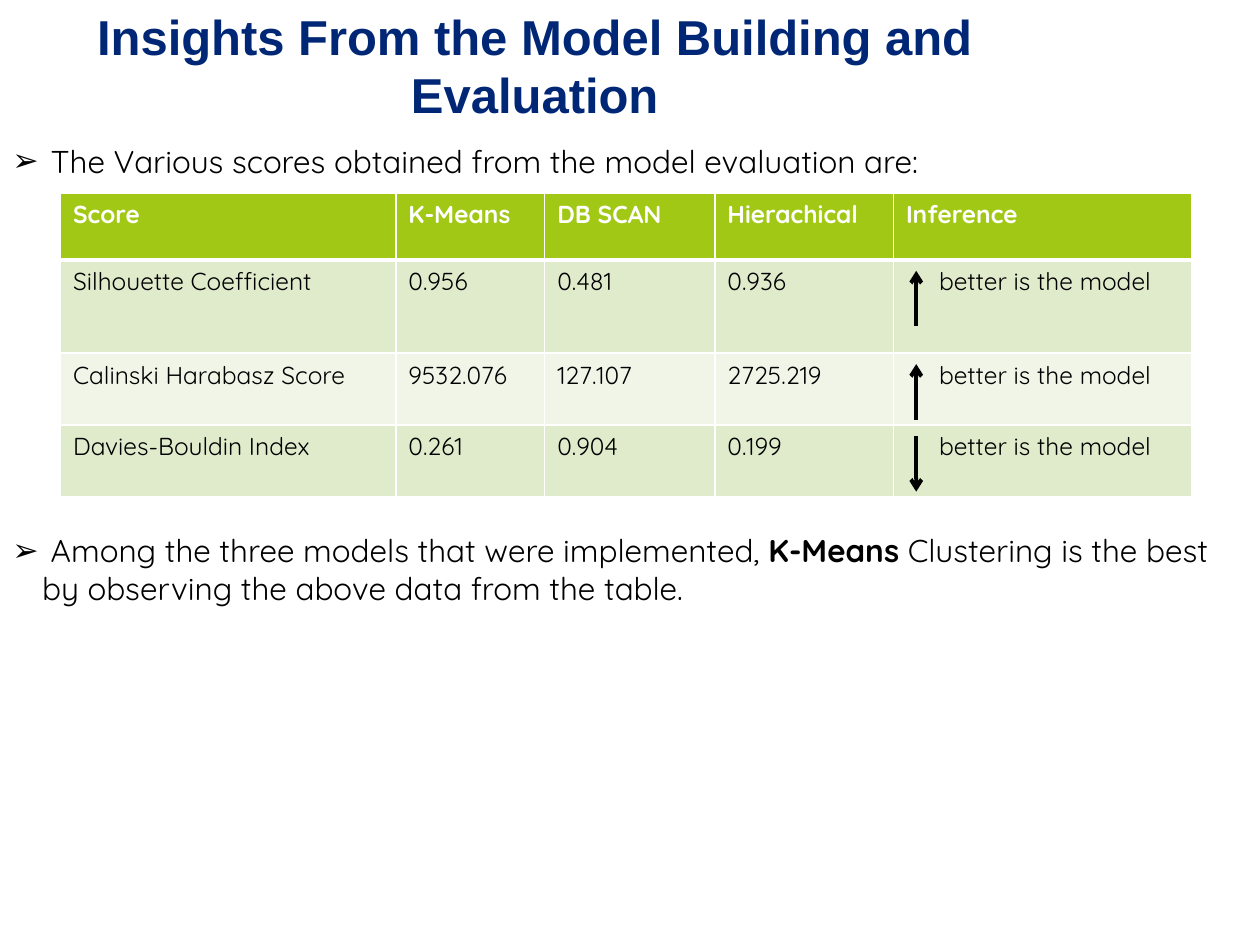
from itertools import accumulate
from lxml.etree import SubElement as Sub
from pptx import Presentation
from pptx.dml.color import RGBColor as RGB
from pptx.enum.shapes import MSO_CONNECTOR as Link
from pptx.enum.text import MSO_AUTO_SIZE as Auto, PP_ALIGN as Align
from pptx.oxml.ns import qn
from pptx.util import Cm, Pt

NAVY, BLACK, WHITE, LIME = "002776", "000000", "FFFFFF", "A2C816"
BANDS = ["E0EBCC", "F0F5E8"]
COLS = [6.76, 3.0, 3.43, 3.6, 6.02]
ROWS = [1.35, 1.88, 1.45, 1.45]
BETTER = "better is the model"
SCORES = [
    ["Score", "K-Means", "DB SCAN", "Hierachical", "Inference"],
    ["Silhouette Coefficient", "0.956", "0.481", "0.936", BETTER],
    ["Calinski Harabasz Score", "9532.076", "127.107", "2725.219", BETTER],
    ["Davies-Bouldin Index", "0.261", "0.904", "0.199", BETTER],
]


def tint(code):
    return RGB.from_string(code)


class Deck:
    """Holds the style and the current slide, and draws each kind of element."""

    def __init__(self, body="Quicksand", head="Arial"):
        self.body, self.head = body, head
        self.prs = Presentation()
        self.prs.slide_width, self.prs.slide_height = Cm(25.4), Cm(19.05)
        self.slide = self.prs.slides.add_slide(self.prs.slide_layouts[6])

    def style(self, para, face, size, color, bold=None):
        font = para.font
        font.name, font.size, font.bold = face, Pt(size), bold
        font.color.rgb = tint(color)

    def box(self, top, width, height):
        frame = self.slide.shapes.add_textbox(0, Cm(top), Cm(width), Cm(height)).text_frame
        frame.word_wrap = True
        frame.auto_size = Auto.SHAPE_TO_FIT_TEXT
        return frame.paragraphs[0]

    def title(self, text, width, height):
        para = self.box(0, width, height)
        para.text, para.alignment = text, Align.CENTER
        self.style(para, self.head, 28, NAVY, True)

    def bullet(self, top, height, *parts):
        para = self.box(top, 25.4, height)
        props = para._p.get_or_add_pPr()
        props.set("marL", str(Cm(0.6)))
        props.set("indent", str(-Cm(0.6)))
        Sub(Sub(props, qn("a:buClr")), qn("a:srgbClr"), val=BLACK)
        Sub(props, qn("a:buFont"), typeface=self.head)
        Sub(props, qn("a:buChar"), char="➢")
        self.style(para, self.body, 18, BLACK)
        for text, bold in parts:
            run = para.add_run()
            run.text = text
            if bold:
                run.font.bold = True

    def edge(self, cell, side, width):
        line = Sub(cell._tc.get_or_add_tcPr(), qn("a:ln" + side), w=str(Pt(width)))
        Sub(Sub(line, qn("a:solidFill")), qn("a:srgbClr"), val=WHITE)

    def cell(self, cell, text, row):
        cell.text = text
        top = row == 0
        if text == BETTER:
            cell.margin_left = Cm(0.92)
        self.style(cell.text_frame.paragraphs[0], self.body, 14, WHITE if top else BLACK, top)
        for side in "LRTB":
            thick = (row, side) in [(0, "B"), (1, "T")]
            self.edge(cell, side, 3 if thick else 1)
        cell.fill.solid()
        cell.fill.fore_color.rgb = tint(LIME if top else BANDS[(row - 1) % 2])

    def table(self, left, top, cols, rows, data):
        grid = self.slide.shapes.add_table(
            len(rows), len(cols), Cm(left), Cm(top), Cm(sum(cols)), Cm(sum(rows))).table
        grid.first_row = grid.horz_banding = False
        for col, width in zip(grid.columns, cols):
            col.width = Cm(width)
        for row, height in zip(grid.rows, rows):
            row.height = Cm(height)
        for r, line in enumerate(data):
            for c, text in enumerate(line):
                self.cell(grid.cell(r, c), text, r)

    def arrow(self, x, start, end):
        line = self.slide.shapes.add_connector(Link.STRAIGHT, Cm(x), Cm(start), Cm(x), Cm(end))
        line.line.color.rgb, line.line.width = tint(BLACK), Pt(2.25)
        Sub(line.line._get_or_add_ln(), qn("a:tailEnd"), type="arrow")
        Sub(line._element.spPr, qn("a:effectLst"))


def main():
    deck = Deck()
    deck.title("Insights From the Model Building and Evaluation", 21.56, 2.64)
    deck.bullet(2.74, 1.02, (" The Various scores obtained from the model evaluation are:", False))
    left, top = 1.22, 3.89
    deck.table(left, top, COLS, ROWS, SCORES)
    tops = list(accumulate(ROWS, initial=top))[1:4]
    for y, rise in zip(tops, [True, True, False]):
        high, low = y + 0.22, y + 1.34
        deck.arrow(18.47, *((low, high) if rise else (high, low)))
    deck.bullet(10.59, 1.8, (" Among the three models that were implemented, ", False),
                ("K-Means", True),
                (" Clustering is the best by observing the above data from the table.", False))
    deck.prs.save("out.pptx")


if __name__ == "__main__":
    main()
